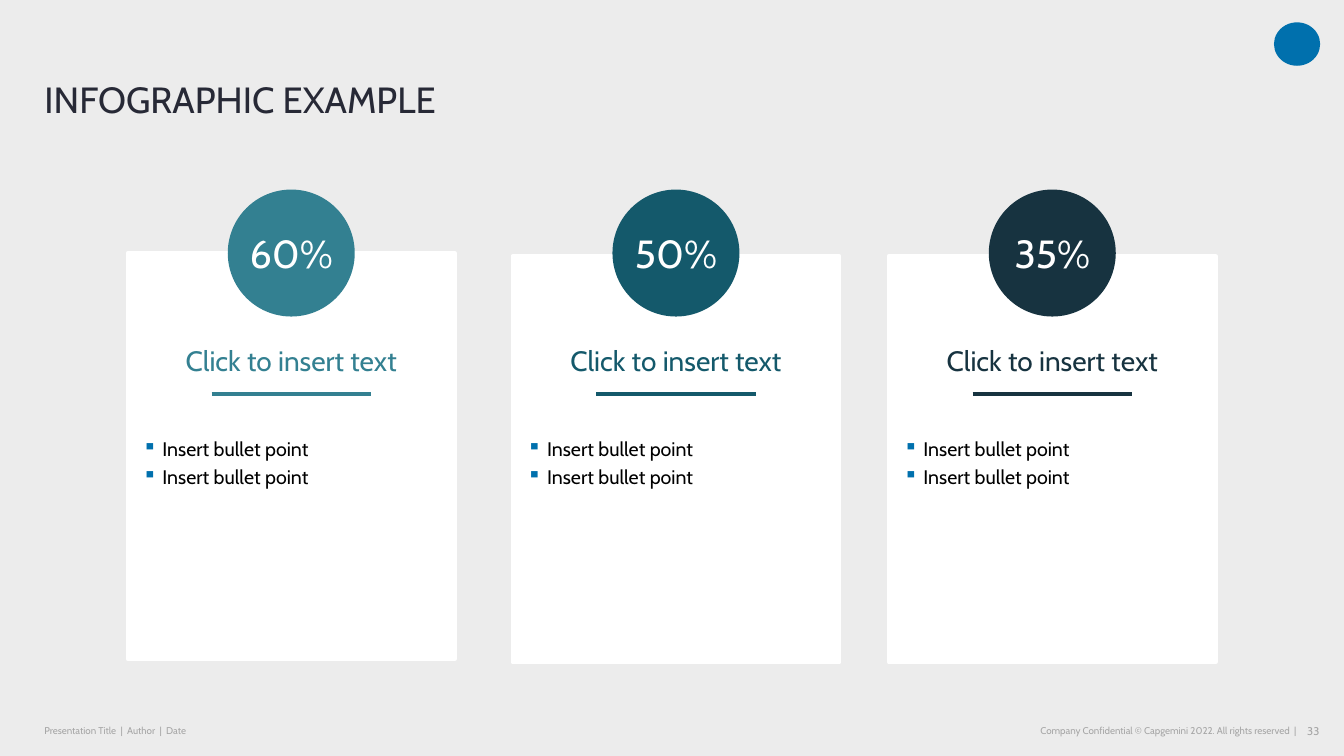
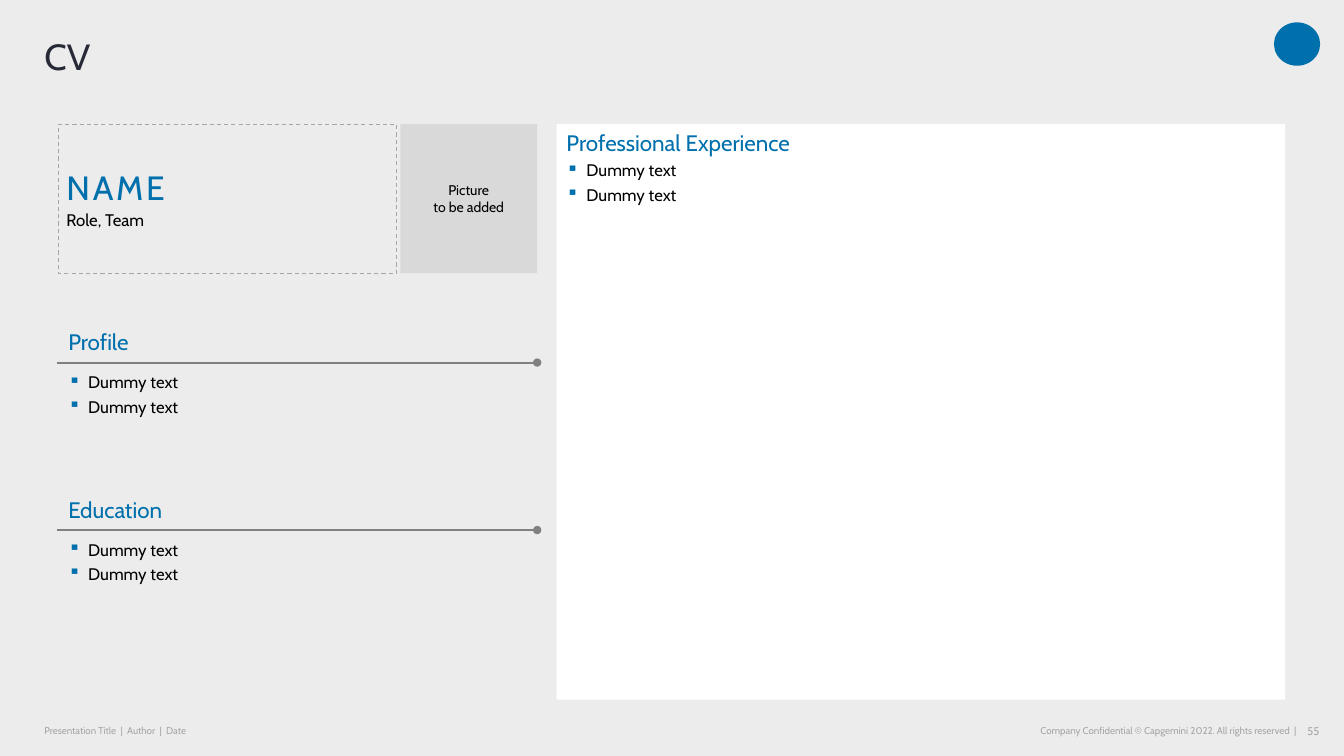
from lxml import etree
from pptx import Presentation
from pptx import util as u
from pptx.dml import color
from pptx.enum import dml, shapes, text
from pptx.oxml import ns

FONT = "Cabin"
BACKGROUND, WHITE, BLACK = "ECECEC", "FFFFFF", "000000"
INK, BLUE = "272936", "0070AD"
PALE, SILVER, GRAY = "D9D9D9", "A6A6A6", "808080"
TEAL, PETROL, NAVY = "338091", "14596B", "173340"

LEFT, CENTER, RIGHT = text.PP_ALIGN.LEFT, text.PP_ALIGN.CENTER, text.PP_ALIGN.RIGHT
TOP, MIDDLE, BOTTOM = text.MSO_ANCHOR.TOP, text.MSO_ANCHOR.MIDDLE, text.MSO_ANCHOR.BOTTOM
RECTANGLE, OVAL = shapes.MSO_SHAPE.RECTANGLE, shapes.MSO_SHAPE.OVAL
DEFAULT_INSETS = (7.2, 3.6, 7.2, 3.6)
NO_INSETS = (0, 0, 0, 0)
BULLET_INDENT = 14.2


def rgb(hex_code):
    return color.RGBColor.from_string(hex_code)


def points(*lengths):
    return [u.Pt(length) for length in lengths]


def add_box(page, left, top, width, height):
    return page.shapes.add_textbox(*points(left, top, width, height))


def add_panel(page, kind, left, top, width, height, fill=None, line=None, weight=0.75):
    panel = page.shapes.add_shape(kind, *points(left, top, width, height))
    panel.shadow.inherit = False
    if fill:
        panel.fill.solid()
        panel.fill.fore_color.rgb = rgb(fill)
    else:
        panel.fill.background()
    if line:
        panel.line.color.rgb = rgb(line)
        panel.line.width = u.Pt(weight)
    else:
        panel.line.fill.background()
    return panel


def add_rule(page, left, y, right, line, weight, dot=False):
    rule = page.shapes.add_connector(
        shapes.MSO_CONNECTOR.STRAIGHT, *points(left, y, right, y))
    rule.line.color.rgb = rgb(line)
    rule.line.width = u.Pt(weight)
    if dot:
        etree.SubElement(rule.line._get_or_add_ln(), ns.qn("a:tailEnd"), type="oval")
    etree.SubElement(rule._element.spPr, ns.qn("a:effectLst"))


def set_frame(box, anchor=TOP, insets=DEFAULT_INSETS):
    frame = box.text_frame
    frame.word_wrap = True
    frame.auto_size = text.MSO_AUTO_SIZE.NONE
    frame.vertical_anchor = anchor
    (frame.margin_left, frame.margin_top,
     frame.margin_right, frame.margin_bottom) = points(*insets)
    return frame


def add_bullet(para):
    properties = para._p.get_or_add_pPr()
    indent = u.Pt(BULLET_INDENT)
    properties.set("marL", str(indent))
    properties.set("indent", str(-indent))
    bullet_color = etree.SubElement(properties, ns.qn("a:buClr"))
    etree.SubElement(bullet_color, ns.qn("a:srgbClr"), val=BLUE)
    etree.SubElement(properties, ns.qn("a:buChar"), char="▪")


def write(frame, words, size, ink, align=LEFT, before=0, after=0, spacing=1.0, bullet=False):
    first = frame.paragraphs[0]
    para = first if not first.runs else frame.add_paragraph()
    para.text = words
    if bullet:
        add_bullet(para)
    para.alignment = align
    para.line_spacing = spacing
    para.space_before = u.Pt(before)
    para.space_after = u.Pt(after)
    para.font.name = FONT
    para.font.size = u.Pt(size)
    para.font.color.rgb = rgb(ink)
    return para


def write_section(frame, heading, entries, heading_gap):
    write(frame, heading, 16, BLUE, after=heading_gap)
    for entry in entries:
        write(frame, entry, 12, BLACK, after=3, bullet=True)


def add_page(deck, title, title_bottom, number):
    page = deck.slides.add_slide(deck.slide_layouts[5])
    heading = page.shapes.title
    height = 56
    heading.left, heading.top, heading.width, heading.height = points(
        31.7, title_bottom - height, 862, height)
    write(set_frame(heading, BOTTOM, NO_INSETS), title, 26, INK, spacing=0.9)
    add_panel(page, OVAL, 910, 16, 33, 31, BLUE)
    footers = [
        (31.7, 268.6, "Presentation Title  |  Author  |  Date", 7, LEFT),
        (568.8, 357.1, "Company Confidential © Capgemini 2022. All rights reserved  |", 7, RIGHT),
        (924.5, 18, number, 8, RIGHT),
    ]
    for left, width, words, size, align in footers:
        box = add_box(page, left, 513.4, width, 17.3)
        write(set_frame(box, MIDDLE, NO_INSETS), words, size, SILVER, align)
    return page


def add_info_card(page, left, top, panel_drop, share, accent):
    width, circle, rule = 233.3, 90.7, 113.8
    add_panel(page, RECTANGLE, left, top + panel_drop, width, 290.2, WHITE, WHITE, 3)
    badge = add_panel(page, OVAL, left + (width - circle) / 2, top, circle, circle, accent)
    write(set_frame(badge, MIDDLE, NO_INSETS), share, 28, WHITE, CENTER)
    heading = add_box(page, left + 9, top + 109.4, width - 18, 51)
    write(set_frame(heading), "Click to insert text", 20, accent, CENTER, spacing=0.9)
    rule_left = left + (width - rule) / 2
    add_rule(page, rule_left, top + 146.1, rule_left + rule, accent, 3)
    body = set_frame(add_box(page, left + 3.3, top + 173.5, width - 6.6, 161.3))
    for position in range(2):
        write(body, "Insert bullet point", 14, BLACK, before=3 if position else 0, bullet=True)


def add_identity(page, left, top):
    height = 106.5
    card = add_panel(page, RECTANGLE, left, top, 241.5, height, line=SILVER)
    card.line.dash_style = dml.MSO_LINE.DASH
    frame = set_frame(card, MIDDLE, (5.7, 2.9, 0, 2.9))
    name = write(frame, "NAME", 24, BLUE, after=2)
    name.runs[0]._r.get_or_add_rPr().set("spc", "200")
    write(frame, "Role, Team", 12, BLACK, after=2)
    portrait = add_panel(page, RECTANGLE, left + 244.2, top, 97.7, height, PALE)
    write(set_frame(portrait, MIDDLE), "Picture\nto be added", 10, BLACK, CENTER)


def add_ruled_section(page, left, top, heading, entries):
    frame = set_frame(add_box(page, left, top, 350.6, 120))
    write_section(frame, heading, entries, 12)
    add_rule(page, left - 1, top + 28, left + 342, GRAY, 1.5, dot=True)


def add_experience(page, left, top, entries):
    panel = add_panel(page, RECTANGLE, left, top, 520.5, 411, WHITE)
    write_section(set_frame(panel), "Professional Experience", entries, 3)


def build_infographic(deck):
    page = add_page(deck, "INFOGRAPHIC EXAMPLE", 86.4, "33")
    cards = [(91.4, 45.3, "60%", TEAL), (366.2, 47.5, "50%", PETROL), (635, 47.5, "35%", NAVY)]
    for left, panel_drop, share, accent in cards:
        add_info_card(page, left, 135.4, panel_drop, share, accent)


def build_cv(deck):
    page = add_page(deck, "CV", 55.7, "55")
    left, top = 41.7, 88.7
    entries = ["Dummy text"] * 2
    add_identity(page, left, top)
    for position, heading in enumerate(["Profile", "Education"]):
        add_ruled_section(page, left, 231 + position * 119.6, heading, entries)
    add_experience(page, 397.6, top, entries)


def main():
    deck = Presentation()
    deck.slide_width, deck.slide_height = points(960, 540)
    backdrop = deck.slide_master.background.fill
    backdrop.solid()
    backdrop.fore_color.rgb = rgb(BACKGROUND)
    build_infographic(deck)
    build_cv(deck)
    deck.save("out.pptx")


if __name__ == "__main__":
    main()
